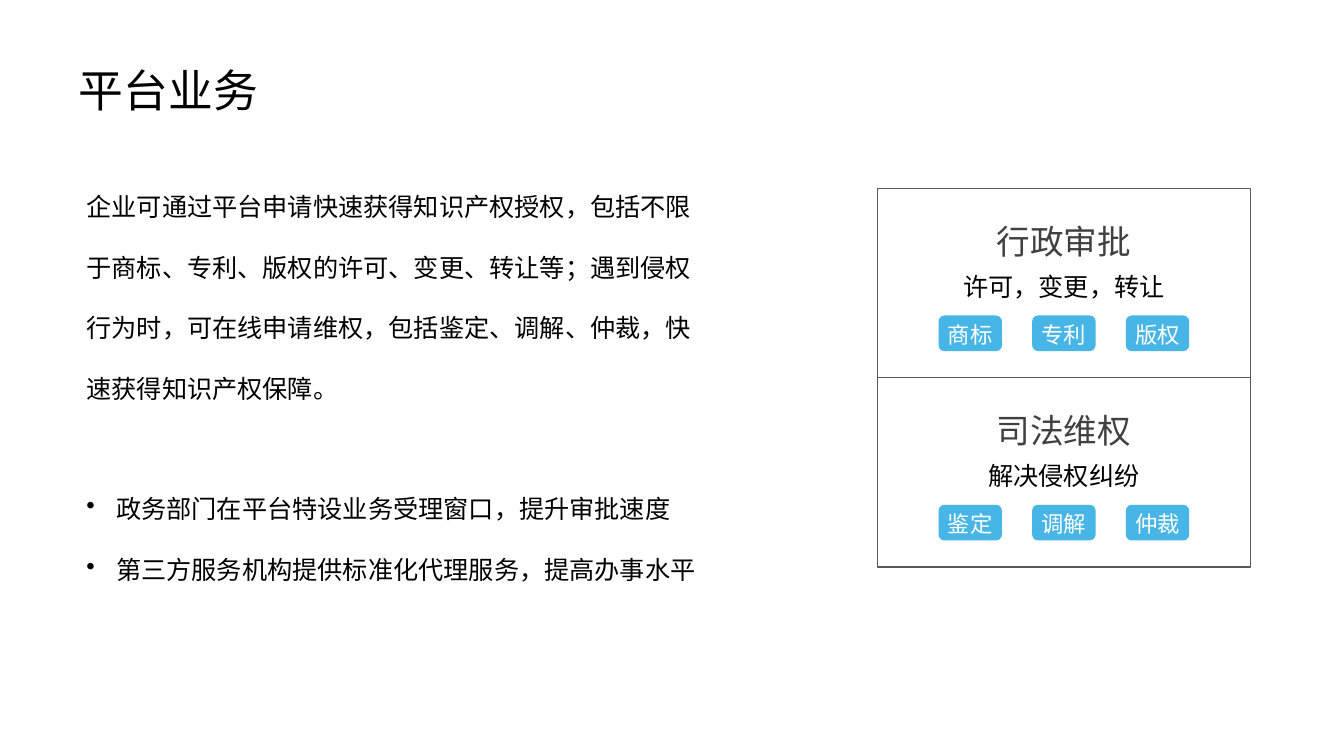
import pptx
import pptx.dml.color
import pptx.enum.shapes
import pptx.enum.text
import pptx.util
from lxml import etree
from pptx.oxml.ns import qn

Cm = pptx.util.Cm
SHAPE = pptx.enum.shapes.MSO_SHAPE
ALIGN = pptx.enum.text.PP_ALIGN
ANCHOR = pptx.enum.text.MSO_ANCHOR
FACE = "Noto Sans CJK SC"

INTRO = ("企业可通过平台申请快速获得知识产权授权，包括不限于商标、专利、版权的许可、变更、转让等；"
         "遇到侵权行为时，可在线申请维权，包括鉴定、调解、仲裁，快速获得知识产权保障。")
POINTS = ["政务部门在平台特设业务受理窗口，提升审批速度",
          "第三方服务机构提供标准化代理服务，提高办事水平"]
PANELS = [("行政审批", "许可，变更，转让", ["商标", "专利", "版权"]),
          ("司法维权", "解决侵权纠纷", ["鉴定", "调解", "仲裁"])]

PANEL_LEFT, PANEL_TOP, PANEL_WIDE, PANEL_HIGH = 22.12, 4.75, 9.4, 4.77
CHIP_WIDE, CHIP_HIGH, CHIP_STEP = 1.6, 0.9, 2.36


def color(code):
    return pptx.dml.color.RGBColor.from_string(code)


def style(para, size, code="000000", align=ALIGN.LEFT, spacing=1.0):
    """Set the look of a paragraph, for Latin and East Asian letters."""
    para.alignment = align
    para.line_spacing = spacing
    font = para.font
    font.size = pptx.util.Pt(size)
    font.color.rgb = color(code)
    font.name = FACE
    props = para._p.pPr.find(qn("a:defRPr"))
    east = etree.Element(qn("a:ea"), typeface=FACE)
    props.find(qn("a:latin")).addnext(east)


def bullet(para, indent):
    props = para._p.pPr
    props.set("marL", str(indent))
    props.set("indent", str(-indent))
    mark = etree.Element(qn("a:buChar"), char="•")
    props.find(qn("a:defRPr")).addprevious(mark)


def text_box(slide, left, top, width, height):
    box = slide.shapes.add_textbox(Cm(left), Cm(top), Cm(width), Cm(height))
    box.text_frame.word_wrap = True
    return box.text_frame


def label(slide, text, top, height, size, code):
    """Add one centred line across the panel."""
    frame = text_box(slide, PANEL_LEFT, top, PANEL_WIDE, height)
    frame.text = text
    style(frame.paragraphs[0], size, code, ALIGN.CENTER)


def block(slide, kind, left, top, width, height):
    shape = slide.shapes.add_shape(kind, Cm(left), Cm(top), Cm(width), Cm(height))
    shape.shadow.inherit = False
    return shape


def chip(slide, text, left, top):
    shape = block(slide, SHAPE.ROUNDED_RECTANGLE, left, top, CHIP_WIDE, CHIP_HIGH)
    shape.fill.solid()
    shape.fill.fore_color.rgb = color("47B6E7")
    shape.line.fill.background()
    frame = shape.text_frame
    frame.margin_left = frame.margin_right = 0
    frame.margin_top = frame.margin_bottom = 0
    frame.vertical_anchor = ANCHOR.MIDDLE
    frame.text = text
    style(frame.paragraphs[0], 16, "FFFFFF", ALIGN.CENTER, 1.1)


def panel(slide, top, head, note, chips):
    frame = block(slide, SHAPE.RECTANGLE, PANEL_LEFT, top, PANEL_WIDE, PANEL_HIGH)
    frame.fill.background()
    frame.line.color.rgb = color("595959")
    frame.line.width = pptx.util.Pt(1)
    label(slide, head, top + 0.68, 1.28, 24, "404040")
    label(slide, note, top + 1.96, 1.03, 18, "000000")
    row = CHIP_STEP * (len(chips) - 1) + CHIP_WIDE
    start = PANEL_LEFT + (PANEL_WIDE - row) / 2
    for i, text in enumerate(chips):
        chip(slide, text, start + i * CHIP_STEP, top + 3.2)


def heading(slide, text):
    title = slide.shapes.title
    title.left, title.top = Cm(1.73), Cm(1.45)
    title.width, title.height = Cm(22.76), Cm(1.63)
    frame = title.text_frame
    frame.text = text
    frame.vertical_anchor = ANCHOR.TOP
    frame.auto_size = pptx.enum.text.MSO_AUTO_SIZE.NONE
    style(frame.paragraphs[0], 32)


def body(slide):
    frame = text_box(slide, 1.93, 3.94, 16, 10.92)
    frame.text = INTRO
    style(frame.paragraphs[0], 18, spacing=2.0)
    for i, text in enumerate(POINTS):
        para = frame.add_paragraph()
        para.text = text
        style(para, 18, spacing=2.0)
        para.space_before = pptx.util.Pt(0 if i else 43)
        bullet(para, Cm(0.75))


def main():
    deck = pptx.Presentation()
    deck.slide_width, deck.slide_height = Cm(33.88), Cm(19.05)
    slide = deck.slides.add_slide(deck.slide_layouts[5])
    heading(slide, "平台业务")
    body(slide)
    for i, (head, note, chips) in enumerate(PANELS):
        panel(slide, PANEL_TOP + i * PANEL_HIGH, head, note, chips)
    deck.save("out.pptx")


if __name__ == "__main__":
    main()
